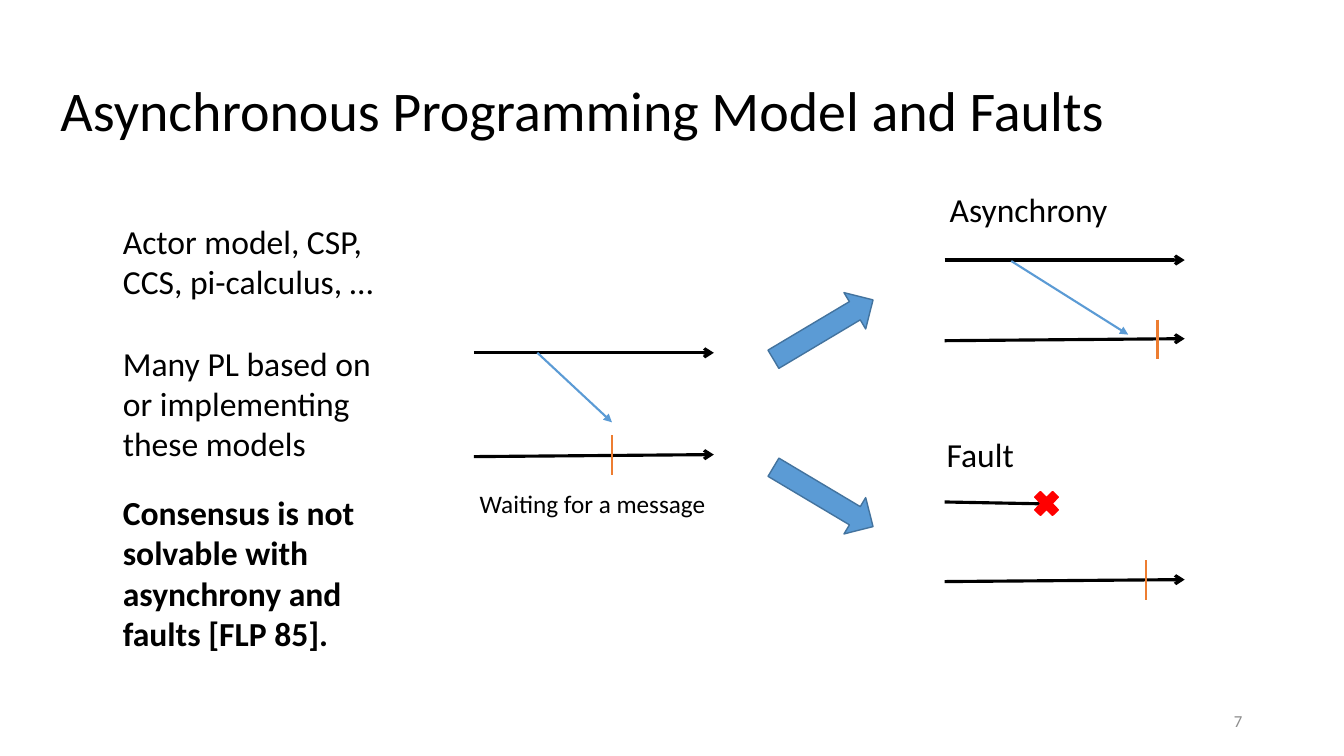
from dataclasses import dataclass

from lxml.etree import SubElement
from pptx import Presentation
from pptx.dml.color import RGBColor
from pptx.enum.shapes import MSO_CONNECTOR as Connector, MSO_SHAPE as Shape
from pptx.enum.text import MSO_ANCHOR as Anchor, MSO_AUTO_SIZE as AutoSize, PP_ALIGN as Align
from pptx.oxml.ns import qn
from pptx.util import Inches, Pt


@dataclass(frozen=True)
class Theme:
    font: str = "Calibri"
    ink: str = "000000"
    muted: str = "8C8C8C"
    message: str = "5B9BD5"
    message_edge: str = "43739E"
    waiting: str = "ED7D31"
    fault: str = "FF0000"
    title_size: int = 40
    body_size: int = 24
    caption_size: int = 18
    number_size: int = 12
    process_width: float = 2.25
    thin_width: float = 1.5
    edge_width: float = 1


class SlideBuilder:
    def __init__(self, slide, theme):
        self.slide = slide
        self.theme = theme

    def style(self, paragraph, size, color=None, bold=False):
        font = paragraph.font
        font.name = self.theme.font
        font.size = Pt(size)
        font.bold = bold
        font.color.rgb = RGBColor.from_string(color or self.theme.ink)

    def title(self, wording, left, top, width, height):
        heading = self.slide.shapes.title
        heading.left, heading.top = Inches(left), Inches(top)
        heading.width, heading.height = Inches(width), Inches(height)
        frame = heading.text_frame
        frame.text = wording
        frame.auto_size = AutoSize.NONE
        frame.vertical_anchor = Anchor.MIDDLE
        paragraph = frame.paragraphs[0]
        paragraph.alignment = Align.LEFT
        paragraph.line_spacing = 0.9
        self.style(paragraph, self.theme.title_size)

    def text(self, wording, left, top, width, height, size=None, color=None,
             bold=False, wrap=True, align=Align.LEFT, anchor=Anchor.TOP):
        box = self.slide.shapes.add_textbox(
            Inches(left), Inches(top), Inches(width), Inches(height))
        frame = box.text_frame
        frame.text = wording
        frame.word_wrap = wrap
        frame.vertical_anchor = anchor
        for paragraph in frame.paragraphs:
            paragraph.alignment = align
            self.style(paragraph, size or self.theme.body_size, color, bold)

    def line(self, start, end, color, width, head=None):
        connector = self.slide.shapes.add_connector(
            Connector.STRAIGHT, *map(Inches, (*start, *end)))
        connector.line.color.rgb = RGBColor.from_string(color)
        connector.line.width = Pt(width)
        if head:
            SubElement(connector.line._get_or_add_ln(), qn("a:tailEnd"), type=head)
        SubElement(connector._element.spPr, qn("a:effectLst"))

    def process(self, start, end, head="arrow"):
        self.line(start, end, self.theme.ink, self.theme.process_width, head)

    def message(self, start, end):
        self.line(start, end, self.theme.message, self.theme.thin_width, "triangle")

    def waiting_mark(self, x, top):
        self.line((x, top), (x, top + 0.39), self.theme.waiting, self.theme.thin_width)

    def shape(self, kind, left, top, width, height, fill, edge, rotation=0):
        figure = self.slide.shapes.add_shape(
            kind, Inches(left), Inches(top), Inches(width), Inches(height))
        figure.rotation = rotation
        figure.shadow.inherit = False
        figure.fill.solid()
        figure.fill.fore_color.rgb = RGBColor.from_string(fill)
        figure.line.color.rgb = RGBColor.from_string(edge)
        figure.line.width = Pt(self.theme.edge_width)


def main():
    theme = Theme()
    deck = Presentation()
    deck.slide_width, deck.slide_height = Inches(13.33), Inches(7.5)
    builder = SlideBuilder(deck.slides.add_slide(deck.slide_layouts[5]), theme)

    builder.title("Asynchronous Programming Model and Faults", 0.5, 0.4, 12.27, 1.45)
    builder.text("Consensus is not solvable with asynchrony and faults [FLP 85].",
                 1.12, 4.83, 2.57, 1.72, bold=True)
    builder.text("Actor model, CSP,\nCCS, pi-calculus, …", 1.12, 2.14, 2.71, 0.91, wrap=False)
    builder.text("Many PL based on or implementing these models", 1.12, 3.35, 2.69, 1.31)
    builder.text("7", 9.42, 6.95, 3, 0.4, theme.number_size, theme.muted,
                 align=Align.RIGHT, anchor=Anchor.MIDDLE)

    process_length = 2.38
    for left, sender_y, receiver_y in ((4.7, 3.5, 4.53), (9.37, 2.58, 3.38), (9.37, None, 5.77)):
        right = left + process_length
        if sender_y:
            builder.process((left, sender_y), (right, sender_y))
        builder.process((left, receiver_y), (right, receiver_y - 0.02))
    builder.process((9.37, 4.98), (10.43, 5), head=None)

    builder.message((5.33, 3.5), (6.07, 4.19))
    builder.message((10.03, 2.59), (11.19, 3.32))
    for x, top in ((6.07, 4.32), (11.48, 3.17), (11.37, 5.56)):
        builder.waiting_mark(x, top)

    for top, rotation in ((4.72, 30.8), (3.06, -30.8)):
        builder.shape(Shape.RIGHT_ARROW, 7.59, top, 1.15, 0.42,
                      theme.message, theme.message_edge, rotation)
    builder.shape(Shape.MATH_MULTIPLY, 10.21, 4.82, 0.34, 0.35, theme.fault, theme.fault)

    builder.text("Asynchrony", 9.32, 1.83, 1.78, 0.5, wrap=False)
    builder.text("Fault", 9.29, 4.26, 0.87, 0.5, wrap=False)
    builder.text("Waiting for a message", 4.66, 4.8, 2.47, 0.4, theme.caption_size, wrap=False)

    deck.save("out.pptx")


if __name__ == "__main__":
    main()
